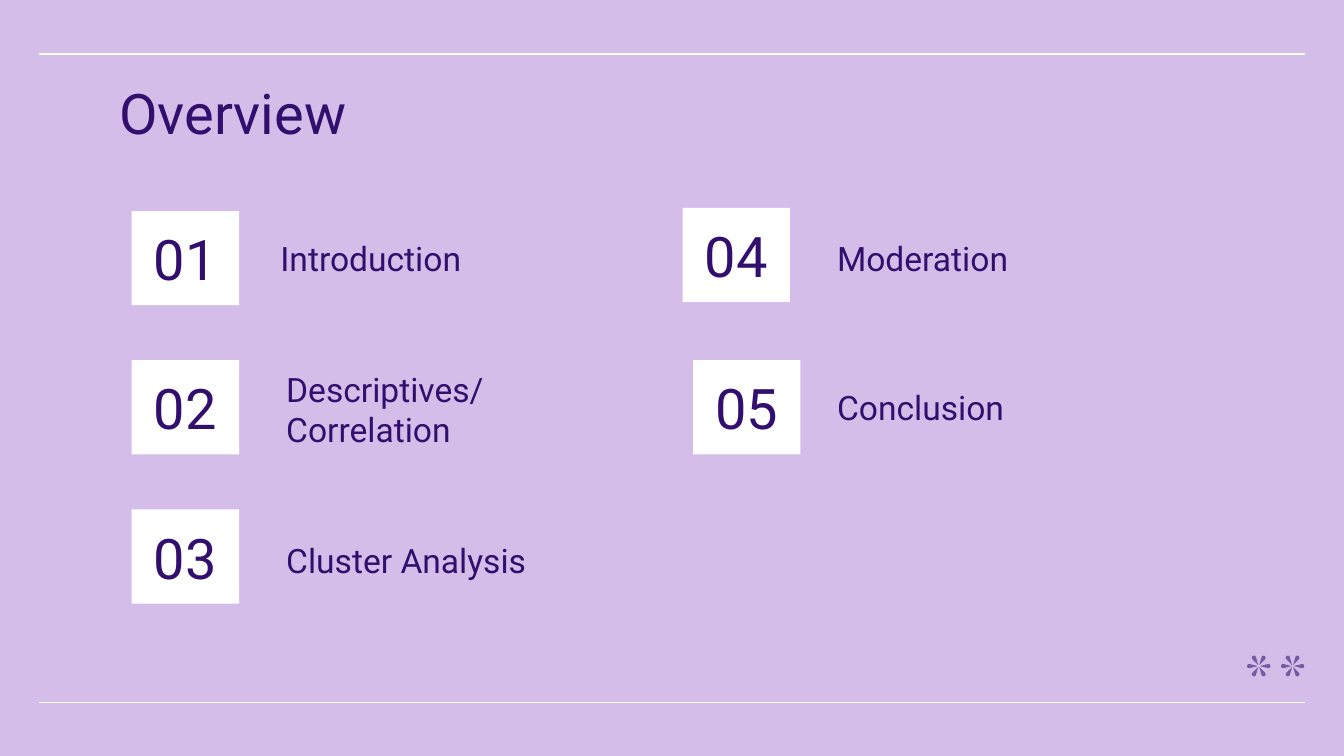
"""Build the purple overview slide with five numbered topics."""
import math
from typing import NamedTuple

from lxml import etree
from pptx import Presentation
from pptx import util as u
from pptx.dml.color import RGBColor
from pptx.enum import shapes, text
from pptx.oxml.ns import qn

LILAC, WHITE, INK, VIOLET = "D4BEE9", "FFFFFF", "320E6E", "785AA3"
FONT = "Roboto"
TOP, MIDDLE, BOTTOM = (
    text.MSO_ANCHOR.TOP, text.MSO_ANCHOR.MIDDLE, text.MSO_ANCHOR.BOTTOM)
LEFT, CENTER = text.PP_ALIGN.LEFT, text.PP_ALIGN.CENTER


class Area(NamedTuple):
    left: float
    top: float
    width: float
    height: float


class Topic(NamedTuple):
    number: str
    lines: tuple[str, ...]
    tile: Area
    label: Area


def tile_at(left: float, top: float) -> Area:
    return Area(left, top, 2.03, 1.78)


def label_at(left: float, top: float, height: float = 1.27) -> Area:
    return Area(left, top, 7.34, height)


TOPICS = (
    Topic("01", ("Introduction",), tile_at(2.49, 3.99), label_at(5.05, 4.24)),
    Topic("02", ("Descriptives/", "Correlation"),
          tile_at(2.49, 6.81), label_at(5.16, 6.93, 1.6)),
    Topic("03", ("Cluster Analysis",), tile_at(2.49, 9.63), label_at(5.16, 9.96)),
    Topic("04", ("Moderation",), tile_at(12.9, 3.93), label_at(15.57, 4.24)),
    Topic("05", ("Conclusion",), tile_at(13.1, 6.81), label_at(15.57, 7.06)),
)


def paint(target, color: str) -> None:
    target.solid()
    target.fore_color.rgb = RGBColor.from_string(color)


def write(box, lines: tuple[str, ...], size: float, anchor, align) -> None:
    frame = box.text_frame
    frame.word_wrap = True
    frame.vertical_anchor = anchor
    frame.margin_left = frame.margin_right = u.Cm(0.25)
    frame.margin_top = frame.margin_bottom = u.Cm(0.25)
    for index, line in enumerate(lines):
        para = frame.add_paragraph() if index else frame.paragraphs[0]
        para.alignment = align
        span = para.add_run()
        span.text = line
        span.font.name = FONT
        span.font.size = u.Pt(size)
        paint(span.font.fill, INK)


def add_label(page, area: Area, lines: tuple[str, ...], size: float, anchor=TOP) -> None:
    box = page.shapes.add_textbox(*map(u.Cm, area))
    write(box, lines, size, anchor, LEFT)


def add_tile(page, area: Area, number: str) -> None:
    box = page.shapes.add_shape(shapes.MSO_SHAPE.RECTANGLE, *map(u.Cm, area))
    box.shadow.inherit = False
    paint(box.fill, WHITE)
    box.line.fill.background()
    write(box, (number,), 30, BOTTOM, CENTER)


def add_rule(page, top: float) -> None:
    rule = page.shapes.add_connector(
        shapes.MSO_CONNECTOR.STRAIGHT, *map(u.Cm, (0.74, top, 24.66, top)))
    paint(rule.line.fill, WHITE)
    rule.line.width = u.Pt(0.75)
    etree.SubElement(rule._element.spPr, qn("a:effectLst"))


def add_petal(page, x: float, y: float, turn: float) -> None:
    reach, radius = 0.18, 0.04
    outline = [(0.02, 0.0)]
    for degrees in range(-100, 101, 20):
        angle = math.radians(degrees)
        outline.append((reach + radius * math.cos(angle), radius * math.sin(angle)))
    cos, sin = math.cos(turn), math.sin(turn)
    points = [(u.Cm(x + a * cos - b * sin), u.Cm(y + a * sin + b * cos))
              for a, b in outline]
    builder = page.shapes.build_freeform(*points[0])
    builder.add_line_segments(points[1:], close=True)
    petal = builder.convert_to_shape()
    petal.shadow.inherit = False
    paint(petal.fill, VIOLET)
    petal.line.fill.background()


def main() -> None:
    deck = Presentation()
    deck.slide_width, deck.slide_height = u.Cm(25.4), u.Cm(14.29)
    page = deck.slides.add_slide(deck.slide_layouts[6])
    paint(page.background.fill, LILAC)
    for top in (1.02, 13.28):
        add_rule(page, top)
    for x in (23.79, 24.43):
        for step in range(6):
            add_petal(page, x, 12.59, step * math.pi / 3)
    add_label(page, Area(2.01, 1.24, 21.41, 1.6), ("Overview",), 30)
    for topic in TOPICS:
        add_tile(page, topic.tile, topic.number)
        anchor = MIDDLE if len(topic.lines) > 1 else TOP
        add_label(page, topic.label, topic.lines, 18, anchor)
    deck.save("out.pptx")


if __name__ == "__main__":
    main()
